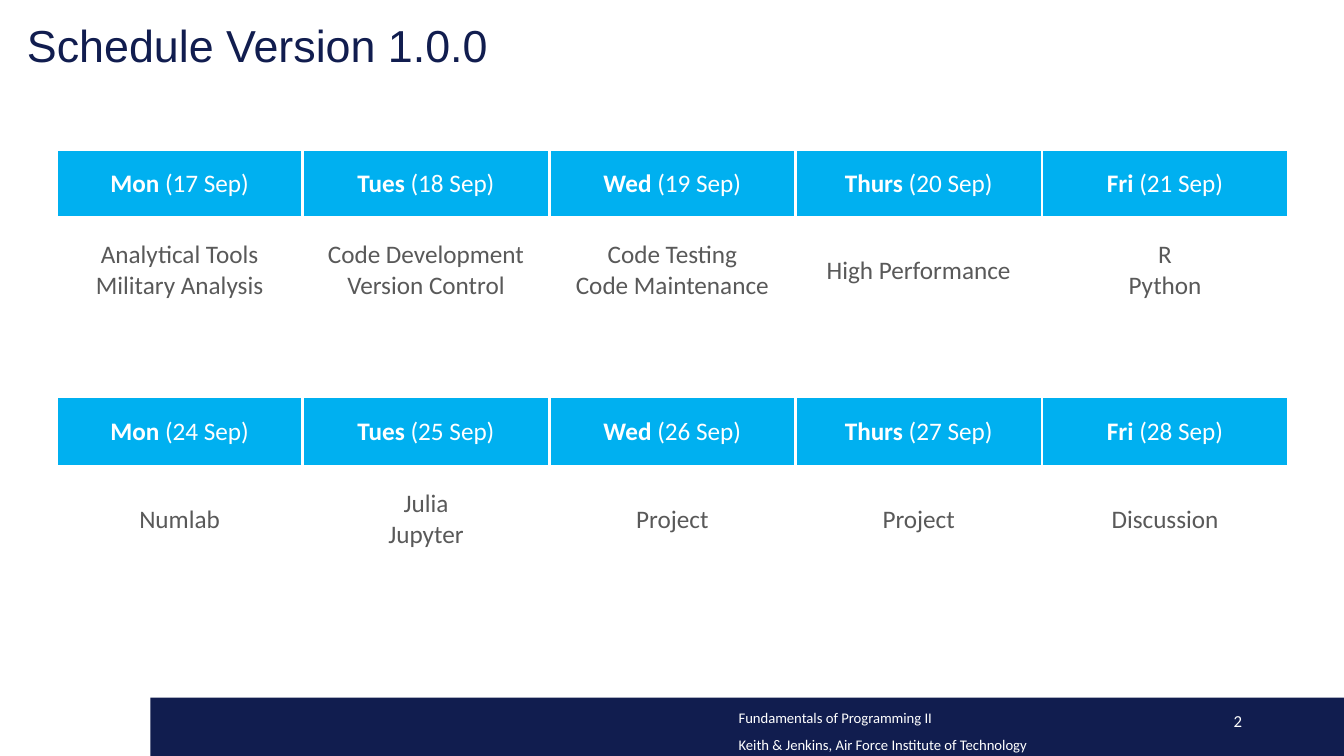
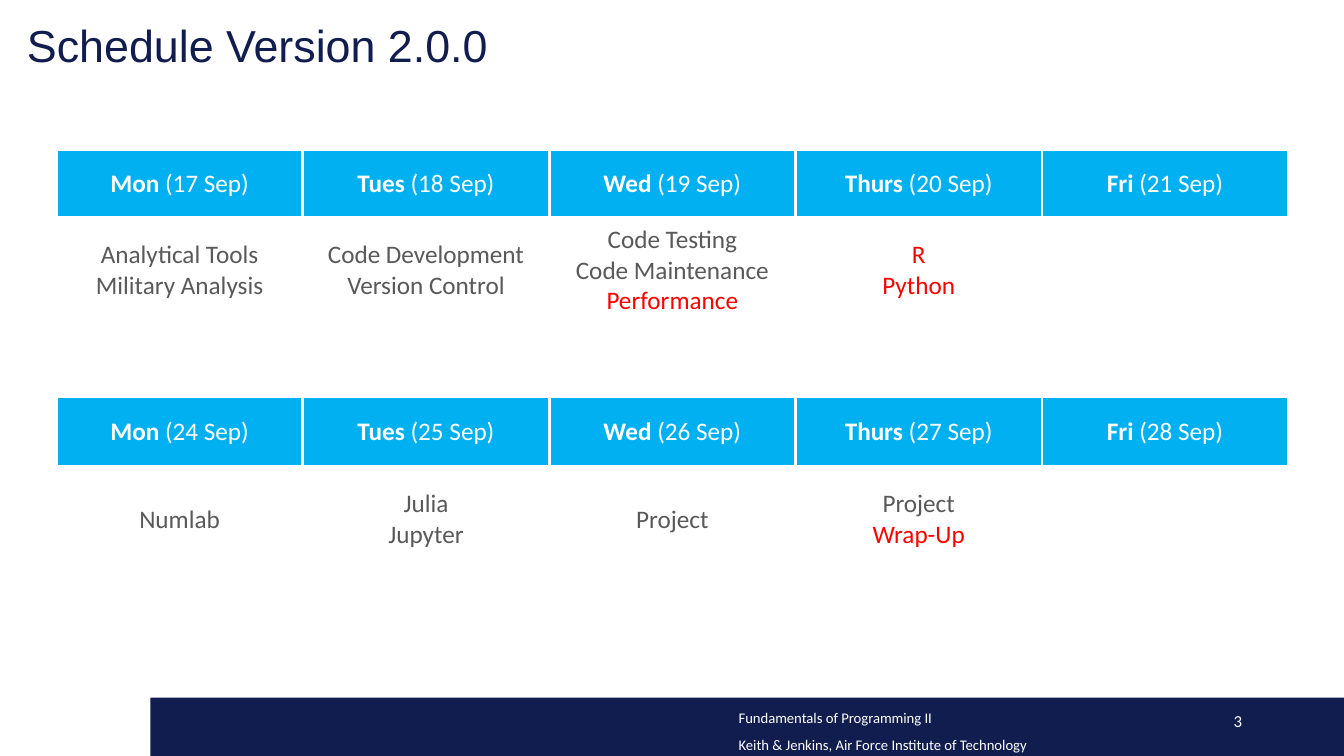
from lxml import etree
from pptx import Presentation
from pptx.dml.color import RGBColor
from pptx.enum.shapes import MSO_SHAPE
from pptx.enum.text import MSO_ANCHOR, PP_ALIGN
from pptx.oxml.ns import qn
from pptx.util import Pt

LEFT, CENTER, RIGHT = PP_ALIGN.LEFT, PP_ALIGN.CENTER, PP_ALIGN.RIGHT
MIDDLE = MSO_ANCHOR.MIDDLE
RECTANGLE = MSO_SHAPE.RECTANGLE

NAVY, CYAN, GREY, RED, WHITE = "111D4F", "00B0F0", "595959", "FF0000", "FFFFFF"
HEADING_FONT, BODY_FONT = "Arial", "Calibri"

SLIDE_WIDTH, SLIDE_HEIGHT = 960, 540
TITLE_BOX = (12.2, 0, 932, 69)
FOOTER_BOX = (107.5, 498.4, 852.5, 41.6)
SCHEDULE_BOX = (40.3, 107.2, 880, 302)
ROW_HEIGHTS = (48.2, 75.6, 52.6, 49.7, 75.6)
ROWS_PER_WEEK = 3
BORDER_WIDTH = 2.25

FOOTER_LINES = (
    "Fundamentals of Programming II",
    "Keith & Jenkins, Air Force Institute of Technology",
)
WEEKDAYS = ("Mon", "Tues", "Wed", "Thurs", "Fri")
WEEK_STARTS = (17, 24)

ANALYSIS = ("Analytical Tools", "Military Analysis")
DEVELOPMENT = ("Code Development", "Version Control")
TESTING = ("Code Testing", "Code Maintenance")
LANGUAGES = ("R", "Python")
NOTEBOOKS = ("Julia", "Jupyter")

SCHEDULES = (
    {
        "title": "Schedule Version 1.0.0",
        "weeks": (
            (ANALYSIS, DEVELOPMENT, TESTING, ("High Performance",), LANGUAGES),
            (("Numlab",), NOTEBOOKS, ("Project",), ("Project",), ("Discussion",)),
        ),
        "revised": (),
    },
    {
        "title": "Schedule Version 2.0.0",
        "weeks": (
            (ANALYSIS, DEVELOPMENT, TESTING + ("Performance",), LANGUAGES, ()),
            (("Numlab",), NOTEBOOKS, ("Project",), ("Project", "Wrap-Up"), ()),
        ),
        "revised": LANGUAGES + ("Performance", "Wrap-Up"),
    },
)


def rgb(color):
    """Turn a hex string into a colour."""
    return RGBColor.from_string(color)


def write_line(frame, text, *, first=True, lead="", size=18, font=BODY_FONT,
               color=WHITE, align=LEFT, spacing=None):
    """Write one paragraph, with an optional bold lead before its text."""
    line = frame.paragraphs[0] if first else frame.add_paragraph()
    line.alignment = align
    line.line_spacing = spacing
    for words, bold in ((lead, True), (text, False)):
        if words:
            run = line.add_run()
            run.text = words
            run.font.size = Pt(size)
            run.font.name = font
            run.font.bold = bold
            run.font.color.rgb = rgb(color)


def add_text_frame(slide, box):
    """Add a wrapping, vertically centred text box and return its frame."""
    frame = slide.shapes.add_textbox(*map(Pt, box)).text_frame
    frame.word_wrap = True
    frame.vertical_anchor = MIDDLE
    return frame


def add_title(slide, box, title):
    """Place the slide title."""
    write_line(add_text_frame(slide, box), title, size=32, font=HEADING_FONT,
               color=NAVY, spacing=0.9)


def add_footer(slide, box, number):
    """Place the navy band with the page number and course details."""
    left, top, width, height = box
    band = slide.shapes.add_shape(RECTANGLE, *map(Pt, box))
    band.shadow.inherit = False
    band.fill.solid()
    band.fill.fore_color.rgb = rgb(NAVY)
    band.line.fill.background()
    page_number = add_text_frame(slide, (left + width - 281.7, top + 2, 216, 28.8))
    write_line(page_number, str(number), size=12, align=RIGHT)
    course = add_text_frame(slide, (left + 413, top, 250, height))
    for index, text in enumerate(FOOTER_LINES):
        write_line(course, text, first=index == 0, size=10.5, spacing=1.5)


def style_cell(cell, fill=None):
    """Give a cell white borders, centred text and an optional fill."""
    properties = cell._tc.get_or_add_tcPr()
    for side in ("a:lnL", "a:lnR", "a:lnT", "a:lnB"):
        border = etree.SubElement(properties, qn(side), w=str(Pt(BORDER_WIDTH)))
        solid = etree.SubElement(border, qn("a:solidFill"))
        etree.SubElement(solid, qn("a:srgbClr"), val=WHITE)
    cell.vertical_anchor = MIDDLE
    if fill:
        cell.fill.solid()
        cell.fill.fore_color.rgb = rgb(fill)
    else:
        cell.fill.background()


def add_schedule(slide, box, weeks, revised):
    """Place the two-week table, with revised topics in red."""
    schedule = slide.shapes.add_table(
        len(ROW_HEIGHTS), len(WEEKDAYS), *map(Pt, box)).table
    schedule.first_row = False
    schedule.horz_banding = False
    for row, height in zip(schedule.rows, ROW_HEIGHTS):
        row.height = Pt(height)
    for column in schedule.columns:
        column.width = Pt(box[2] / len(WEEKDAYS))
    header_rows = range(0, len(ROW_HEIGHTS), ROWS_PER_WEEK)
    for row in range(len(ROW_HEIGHTS)):
        for column in range(len(WEEKDAYS)):
            style_cell(schedule.cell(row, column), CYAN if row in header_rows else None)
    for header_row, start, days in zip(header_rows, WEEK_STARTS, weeks):
        for column, (weekday, topics) in enumerate(zip(WEEKDAYS, days)):
            header = schedule.cell(header_row, column).text_frame
            write_line(header, f" ({start + column} Sep)", lead=weekday, align=CENTER)
            body = schedule.cell(header_row + 1, column).text_frame
            for index, topic in enumerate(topics):
                is_revised = topic in revised
                write_line(body, topic, first=index == 0, align=CENTER,
                           color=RED if is_revised else GREY)


def add_schedule_slide(deck, number, title, weeks, revised):
    """Build one schedule slide."""
    slide = deck.slides.add_slide(deck.slide_layouts[6])
    add_title(slide, TITLE_BOX, title)
    add_footer(slide, FOOTER_BOX, number)
    add_schedule(slide, SCHEDULE_BOX, weeks, revised)


def main():
    """Build and save the presentation."""
    deck = Presentation()
    deck.slide_width, deck.slide_height = Pt(SLIDE_WIDTH), Pt(SLIDE_HEIGHT)
    for number, schedule in enumerate(SCHEDULES, start=2):
        add_schedule_slide(deck, number, **schedule)
    deck.save("out.pptx")


if __name__ == "__main__":
    main()
